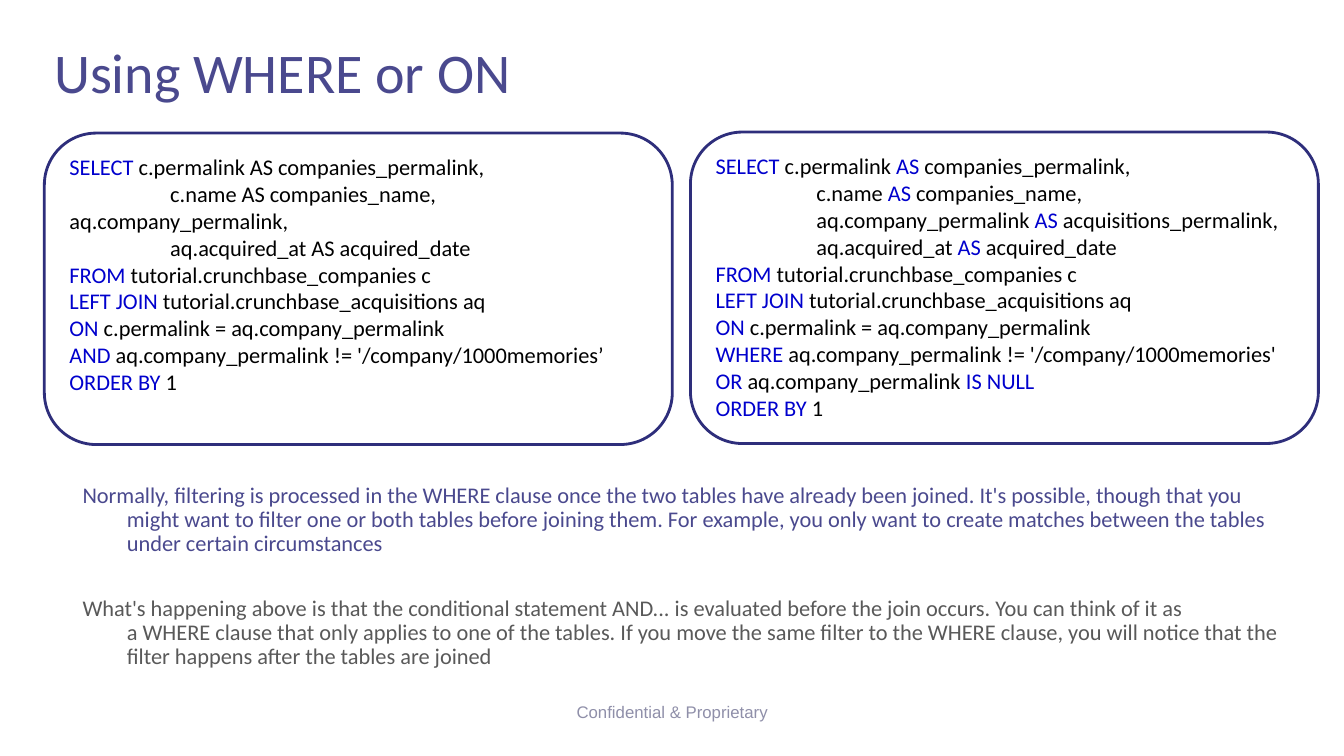
"""Builds a slide comparing an SQL filter in the ON clause with one in the WHERE clause."""
from dataclasses import dataclass

from pptx import Presentation
from pptx.dml.color import RGBColor
from pptx.enum.shapes import MSO_SHAPE
from pptx.enum.text import MSO_ANCHOR, PP_ALIGN
from pptx.util import Inches, Pt

ROUNDED = MSO_SHAPE.ROUNDED_RECTANGLE
TOP, MIDDLE = MSO_ANCHOR.TOP, MSO_ANCHOR.MIDDLE
LEFT, CENTER = PP_ALIGN.LEFT, PP_ALIGN.CENTER

COLORS = {
    "heading": "4A498E",
    "body": "595959",
    "footer": "8F8FA9",
    "border": "2E2E7B",
    "panel": "FFFFFF",
    "keyword": "0000CD",
    "code": "000000",
}
KEYWORD_MARK = "|"
TIE_MARK, HARD_SPACE = "~", chr(160)


@dataclass(frozen=True)
class Paragraph:
    text: str
    color: str
    size: float = 16
    font: str = "Calibri"
    align: PP_ALIGN = LEFT
    line_spacing: float = 0.9
    hanging: float = 0
    before: float = 0
    after: float = 0


@dataclass(frozen=True)
class TextBlock:
    left: float
    top: float
    width: float
    height: float
    anchor: MSO_ANCHOR
    paragraphs: tuple[Paragraph, ...]


@dataclass(frozen=True)
class Query:
    left: float
    top: float
    lines: tuple[str, ...]


QUERY_WIDTH, QUERY_HEIGHT = 6.23, 3.09
CODE_TAB = 1
JOIN_LINES = (
    "|FROM |tutorial.crunchbase_companies c",
    "|LEFT JOIN |tutorial.crunchbase_acquisitions aq",
    "|ON |c.permalink = aq.company_permalink",
)
ORDER_LINE = "|ORDER BY| 1"

QUERIES = (
    Query(0.44, 1.32, (
        "|SELECT |c.permalink AS companies_permalink,",
        "\tc.name AS companies_name, \taq.company_permalink,",
        " \taq.acquired_at AS acquired_date",
        *JOIN_LINES,
        "|AND |aq.company_permalink != '/company/1000memories’",
        ORDER_LINE,
    )),
    Query(6.85, 1.31, (
        "|SELECT |c.permalink |AS |companies_permalink,",
        "\tc.name |AS |companies_name,",
        "\taq.company_permalink |AS |acquisitions_permalink,",
        "\taq.acquired_at |AS |acquired_date",
        *JOIN_LINES,
        "|WHERE |aq.company_permalink != '/company/1000memories' "
        "|OR |aq.company_permalink |IS NULL",
        ORDER_LINE,
    )),
)

TEXT_BLOCKS = (
    TextBlock(4.42, 6.86, 4.5, 0.4, MIDDLE, (
        Paragraph("Confidential & Proprietary", "footer", 12, "Arial", CENTER, 1.0),
    )),
    TextBlock(0.44, 0.38, 11.5, 0.73, MIDDLE, (
        Paragraph("Using WHERE or ON", "heading", 40),
    )),
    TextBlock(0.72, 4.75, 12.25, 1.43, TOP, (
        Paragraph(
            "Normally, filtering is processed in the~WHERE~clause once the~two tables have "
            "already been joined. It's possible, though that you might want to filter one or "
            "both tables~before~joining them. For example, you only want to create matches "
            "between the tables under certain circumstances",
            "heading", hanging=0.44, after=6),
        Paragraph(
            "What's happening above is that the conditional statement~AND...~is evaluated "
            "before the join occurs. You can think of it as a~WHERE~clause that only applies "
            "to one of the tables. If you move the same filter to the~WHERE~clause, you will "
            "notice that the filter happens after the tables are joined",
            "body", hanging=0.44, before=23, after=6),
    )),
)


def rgb(name: str) -> RGBColor:
    return RGBColor.from_string(COLORS[name])


def add_run(paragraph, text: str, color: str, size: float = 16, font: str = "Calibri") -> None:
    run = paragraph.add_run()
    run.text = text.replace(TIE_MARK, HARD_SPACE)
    run.font.name = font
    run.font.size = Pt(size)
    run.font.color.rgb = rgb(color)


def paragraph_at(frame, index: int):
    return frame.add_paragraph() if index else frame.paragraphs[0]


def draw_text(slide, block: TextBlock) -> None:
    box = slide.shapes.add_textbox(
        Inches(block.left), Inches(block.top), Inches(block.width), Inches(block.height))
    frame = box.text_frame
    frame.word_wrap = True
    frame.vertical_anchor = block.anchor
    for index, content in enumerate(block.paragraphs):
        paragraph = paragraph_at(frame, index)
        paragraph.alignment = content.align
        paragraph.line_spacing = content.line_spacing
        paragraph.space_before = Pt(content.before)
        paragraph.space_after = Pt(content.after)
        if content.hanging:
            properties = paragraph._p.get_or_add_pPr()
            properties.set("marL", str(Inches(content.hanging)))
            properties.set("indent", str(-Inches(content.hanging)))
        add_run(paragraph, content.text, content.color, content.size, content.font)


def draw_query(slide, query: Query) -> None:
    panel = slide.shapes.add_shape(
        ROUNDED, Inches(query.left), Inches(query.top),
        Inches(QUERY_WIDTH), Inches(QUERY_HEIGHT))
    panel.shadow.inherit = False
    panel.fill.solid()
    panel.fill.fore_color.rgb = rgb("panel")
    panel.line.color.rgb = rgb("border")
    panel.line.width = Pt(2)
    frame = panel.text_frame
    frame.word_wrap = True
    frame.vertical_anchor = TOP
    for index, line in enumerate(query.lines):
        paragraph = paragraph_at(frame, index)
        paragraph.alignment = LEFT
        paragraph._p.get_or_add_pPr().set("defTabSz", str(Inches(CODE_TAB)))
        for position, part in enumerate(line.split(KEYWORD_MARK)):
            if part:
                add_run(paragraph, part, "keyword" if position % 2 else "code")


def main() -> None:
    presentation = Presentation()
    presentation.slide_width = Inches(40 / 3)
    presentation.slide_height = Inches(7.5)
    slide = presentation.slides.add_slide(presentation.slide_layouts[6])
    for block in TEXT_BLOCKS:
        draw_text(slide, block)
    for query in QUERIES:
        draw_query(slide, query)
    presentation.save("out.pptx")


if __name__ == "__main__":
    main()
